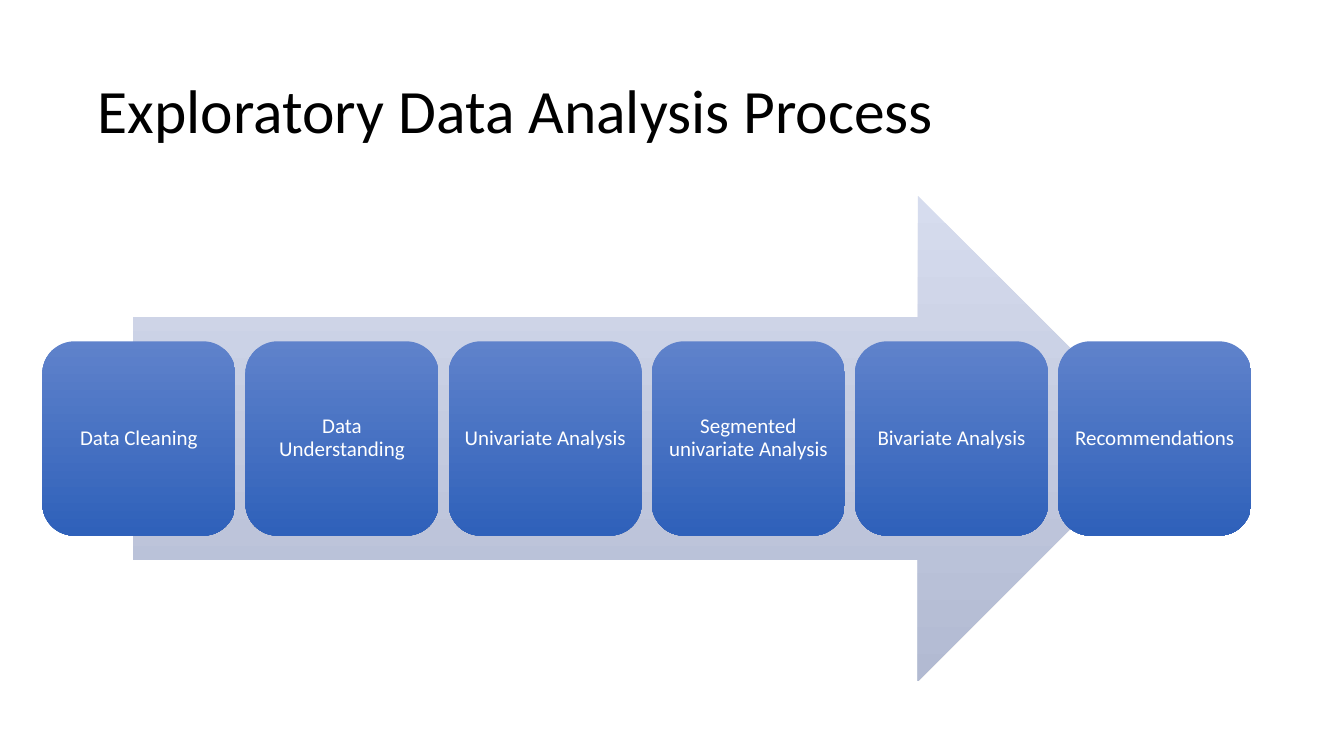
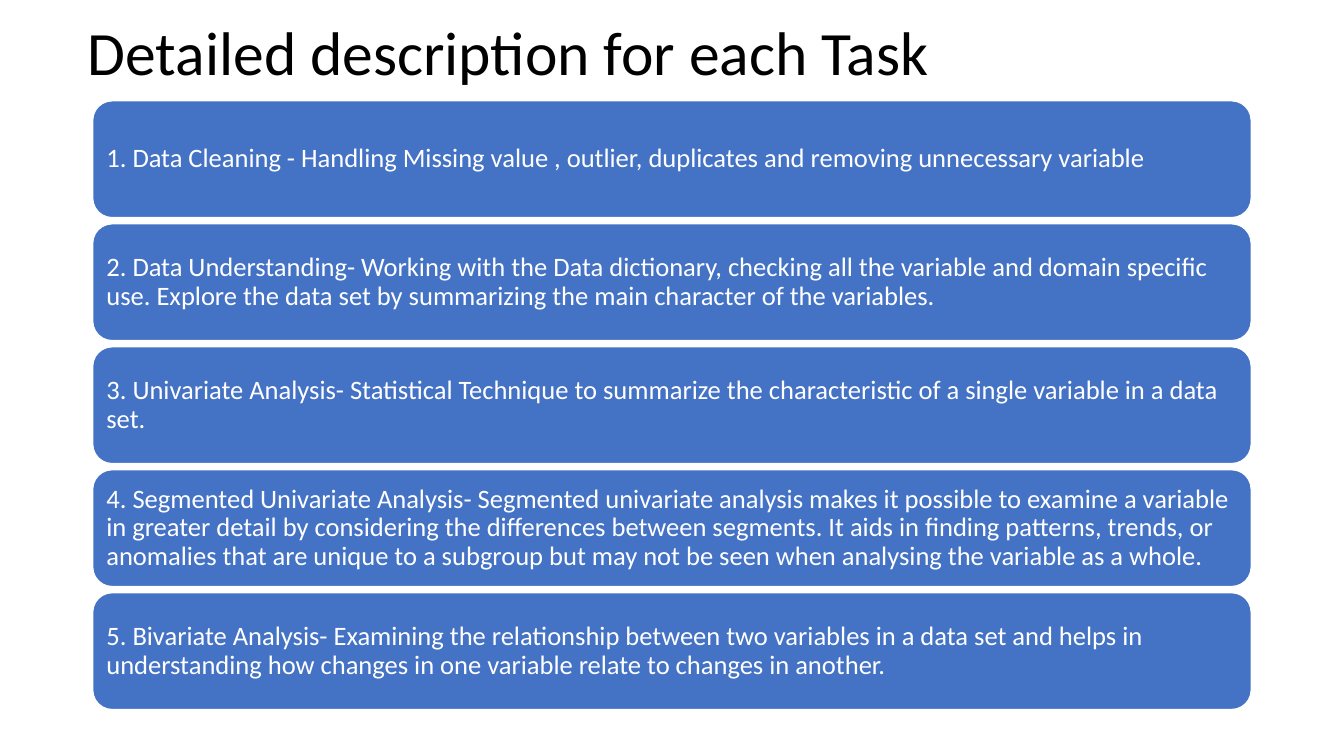
from dataclasses import dataclass

from pptx import Presentation
from pptx import util as u
from pptx.dml import color
from pptx.enum import shapes, text

FONT = "Calibri"
COLORS = {
    "ink": "000000",
    "white": "FFFFFF",
    "task": "4472C4",
    "arrow_top": "D6DCEE",
    "arrow_bottom": "B2BAD2",
    "step_top": "5F82CB",
    "step_bottom": "2F61BA",
}
STEPS = [
    "Data Cleaning",
    "Data Understanding",
    "Univariate Analysis",
    "Segmented univariate Analysis",
    "Bivariate Analysis",
    "Recommendations",
]
TASKS = [
    "1. Data Cleaning - Handling Missing value , outlier, duplicates and removing unnecessary variable",
    "2. Data Understanding- Working with the Data dictionary, checking all the variable and domain "
    "specific use. Explore the data set by summarizing the main character of the variables.",
    "3. Univariate Analysis- Statistical Technique to summarize the characteristic of a single "
    "variable in a data set.",
    "4. Segmented Univariate Analysis- Segmented univariate analysis makes it possible to examine a "
    "variable in greater detail by considering the differences between segments. It aids in finding "
    "patterns, trends, or anomalies that are unique to a subgroup but may not be seen when analysing "
    "the variable as a whole.",
    "5. Bivariate Analysis- Examining the relationship between two variables in a data set and helps "
    "in understanding how changes in one variable relate to changes in another.",
]


@dataclass
class Box:
    left: float
    top: float
    width: float
    height: float

    def lengths(self):
        return [u.Inches(n) for n in (self.left, self.top, self.width, self.height)]


def rgb(name):
    return color.RGBColor.from_string(COLORS[name])


def write_text(shape, words, size, ink, align, inset):
    frame = shape.text_frame
    frame.word_wrap = True
    frame.auto_size = text.MSO_AUTO_SIZE.NONE
    frame.vertical_anchor = text.MSO_ANCHOR.MIDDLE
    frame.margin_left = frame.margin_right = u.Inches(inset)
    frame.margin_top = frame.margin_bottom = u.Inches(inset)
    para = frame.paragraphs[0]
    para.alignment = align
    para.line_spacing = 0.9
    span = para.add_run()
    span.text = words
    span.font.name = FONT
    span.font.size = u.Pt(size)
    span.font.color.rgb = rgb(ink)


def add_block(page, kind, box):
    block = page.shapes.add_shape(kind, *box.lengths())
    block.shadow.inherit = False
    block.line.fill.background()
    return block


def fill_downward(shape, top, bottom):
    shape.fill.gradient()
    shape.fill.gradient_angle = 270
    for stop, name, position in zip(shape.fill.gradient_stops, (top, bottom), (0, 1)):
        stop.color.rgb = rgb(name)
        stop.position = position


def add_page(deck, heading, box):
    page = deck.slides.add_slide(deck.slide_layouts.get_by_name("Title Only"))
    title = page.shapes.title
    title.left, title.top, title.width, title.height = box.lengths()
    write_text(title, heading, 44, "ink", text.PP_ALIGN.LEFT, 0.05)
    return page


def add_process(page, box, steps):
    inset = 0.9
    arrow_box = Box(box.left + inset, box.top, box.width - 2 * inset, box.height)
    arrow = add_block(page, shapes.MSO_SHAPE.RIGHT_ARROW, arrow_box)
    fill_downward(arrow, "arrow_top", "arrow_bottom")

    gap = 0.1
    width = (box.width - gap * (len(steps) - 1)) / len(steps)
    height = box.height * 0.4
    top = box.top + (box.height - height) / 2
    for index, words in enumerate(steps):
        step_box = Box(box.left + index * (width + gap), top, width, height)
        step = add_block(page, shapes.MSO_SHAPE.ROUNDED_RECTANGLE, step_box)
        fill_downward(step, "step_top", "step_bottom")
        write_text(step, words, 15, "white", text.PP_ALIGN.CENTER, 0.05)


def add_tasks(page, box, tasks):
    gap = 0.06
    height = (box.height - gap * (len(tasks) - 1)) / len(tasks)
    for index, words in enumerate(tasks):
        task_box = Box(box.left, box.top + index * (height + gap), box.width, height)
        task = add_block(page, shapes.MSO_SHAPE.ROUNDED_RECTANGLE, task_box)
        task.fill.solid()
        task.fill.fore_color.rgb = rgb("task")
        task.line.color.rgb = rgb("white")
        task.line.width = u.Pt(1)
        write_text(task, words, 19, "white", text.PP_ALIGN.LEFT, 0.08)


def main():
    deck = Presentation()
    deck.slide_width = u.Inches(13.34)
    deck.slide_height = u.Inches(7.5)

    page = add_page(deck, "Exploratory Data Analysis Process", Box(0.92, 0.4, 11.5, 1.45))
    add_process(page, Box(0.42, 1.94, 12, 4.82), STEPS)

    page = add_page(deck, "Detailed description for each Task", Box(0.82, 0.06, 11.5, 0.98))
    add_tasks(page, Box(0.92, 1, 11.5, 6.04), TASKS)

    deck.save("out.pptx")


if __name__ == "__main__":
    main()
